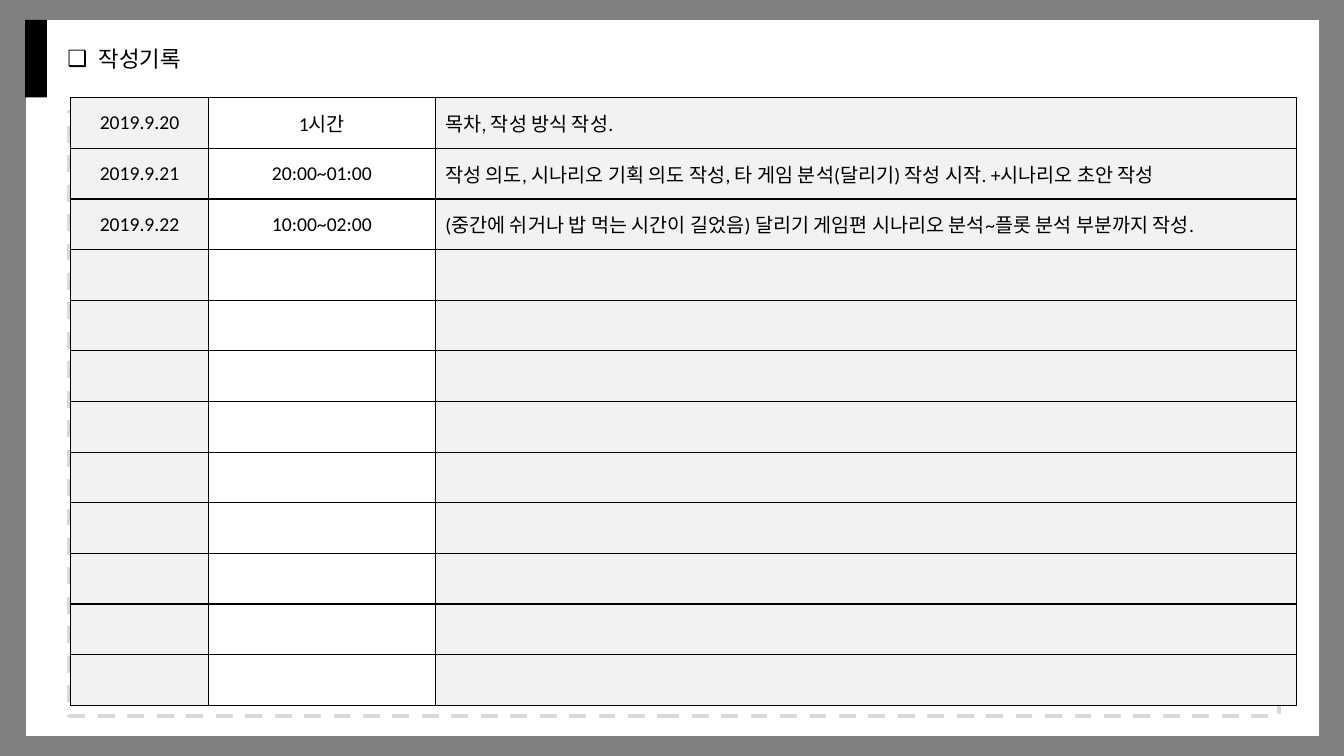
from pptx import Presentation
from pptx.dml.color import RGBColor
from pptx.enum.dml import MSO_LINE
from pptx.enum.shapes import MSO_SHAPE
from pptx.enum.text import MSO_ANCHOR, PP_ALIGN
from pptx.oxml import parse_xml
from pptx.oxml.ns import nsdecls
from pptx.util import Pt

# Content
TITLE = "작성기록"
RECORDS = [
    ("2019.9.20", "1시간", "목차, 작성 방식 작성."),
    ("2019.9.21", "20:00~01:00",
     "작성 의도, 시나리오 기획 의도 작성, 타 게임 분석(달리기) 작성 시작. +시나리오 초안 작성"),
    ("2019.9.22", "10:00~02:00",
     "(중간에 쉬거나 밥 먹는 시간이 길었음) 달리기 게임편 시나리오 분석~플롯 분석 부분까지 작성."),
]
ROW_COUNT = 12

# Style
BLACK = RGBColor(0x00, 0x00, 0x00)
WHITE = RGBColor(0xFF, 0xFF, 0xFF)
GRAY = RGBColor(0x80, 0x80, 0x80)
DASH_GRAY = RGBColor(0xD9, 0xD9, 0xD9)
CELL_GRAY = RGBColor(0xF2, 0xF2, 0xF2)
COLUMNS = [  # width, fill, alignment
    (98.6, CELL_GRAY, PP_ALIGN.CENTER),
    (162, WHITE, PP_ALIGN.CENTER),
    (615.2, CELL_GRAY, PP_ALIGN.LEFT),
]
ROW_HEIGHT = 36.18
TABLE_LEFT, TABLE_TOP = 50.4, 69.8


def add_rectangle(slide, left, top, width, height, fill=None, line=None, line_width=0):
    shape = slide.shapes.add_shape(
        MSO_SHAPE.RECTANGLE, Pt(left), Pt(top), Pt(width), Pt(height))
    shape.shadow.inherit = False
    if fill is None:
        shape.fill.background()
    else:
        shape.fill.solid()
        shape.fill.fore_color.rgb = fill
    if line is None:
        shape.line.fill.background()
    else:
        shape.line.color.rgb = line
        shape.line.width = Pt(line_width)
    return shape


def add_title(slide):
    box = slide.shapes.add_textbox(Pt(41), Pt(15.8), Pt(884.9), Pt(54))
    frame = box.text_frame
    frame.word_wrap = True
    frame.vertical_anchor = MSO_ANCHOR.MIDDLE
    paragraph = frame.paragraphs[0]
    paragraph.text = TITLE
    paragraph.line_spacing = 0.9
    properties = paragraph._p.get_or_add_pPr()
    properties.set("marL", str(Pt(22.5)))
    properties.set("indent", str(-Pt(22.5)))
    properties.append(parse_xml(f'<a:buFont {nsdecls("a")} typeface="Arial"/>'))
    properties.append(parse_xml(f'<a:buChar {nsdecls("a")} char="❑"/>'))
    font = paragraph.runs[0].font
    font.name, font.size = "Arial", Pt(16)
    font.color.rgb = BLACK


def format_cell(cell, text, fill, alignment):
    # Borders come before the fill in the cell properties
    properties = cell._tc.get_or_add_tcPr()
    for side in ("lnL", "lnR", "lnT", "lnB"):
        properties.append(parse_xml(
            f'<a:{side} {nsdecls("a")} w="{Pt(1)}"><a:solidFill>'
            f'<a:srgbClr val="{BLACK}"/></a:solidFill></a:{side}>'))
    cell.fill.solid()
    cell.fill.fore_color.rgb = fill
    cell.vertical_anchor = MSO_ANCHOR.MIDDLE
    paragraph = cell.text_frame.paragraphs[0]
    paragraph.text = text
    paragraph.alignment = alignment
    for run in paragraph.runs:
        run.font.name, run.font.size = "Calibri", Pt(14)
        run.font.color.rgb = BLACK


def add_record_table(slide):
    width = sum(column[0] for column in COLUMNS)
    table = slide.shapes.add_table(
        ROW_COUNT, len(COLUMNS), Pt(TABLE_LEFT), Pt(TABLE_TOP),
        Pt(width), Pt(ROW_HEIGHT * ROW_COUNT)).table
    table.first_row = False
    table.horz_banding = False
    for row in table.rows:
        row.height = Pt(ROW_HEIGHT)
    empty_rows = [("",) * len(COLUMNS)] * (ROW_COUNT - len(RECORDS))
    for column_index, (column_width, fill, alignment) in enumerate(COLUMNS):
        table.columns[column_index].width = Pt(column_width)
        for row_index, record in enumerate(RECORDS + empty_rows):
            format_cell(table.cell(row_index, column_index),
                        record[column_index], fill, alignment)


def main():
    presentation = Presentation()
    presentation.slide_width, presentation.slide_height = Pt(960), Pt(540)
    slide = presentation.slides.add_slide(presentation.slide_layouts[6])
    slide.background.fill.solid()
    slide.background.fill.fore_color.rgb = GRAY

    # Page, dashed area and corner mark
    add_rectangle(slide, 18, 13.9, 924.3, 512, WHITE, GRAY, 0.25)
    area = add_rectangle(slide, 49.7, 79.9, 864, 431.3, None, DASH_GRAY, 3)
    area.line.dash_style = MSO_LINE.DASH
    add_rectangle(slide, 18, 14.2, 15.6, 55.4, BLACK)

    add_title(slide)
    add_record_table(slide)
    presentation.save("out.pptx")


if __name__ == "__main__":
    main()
